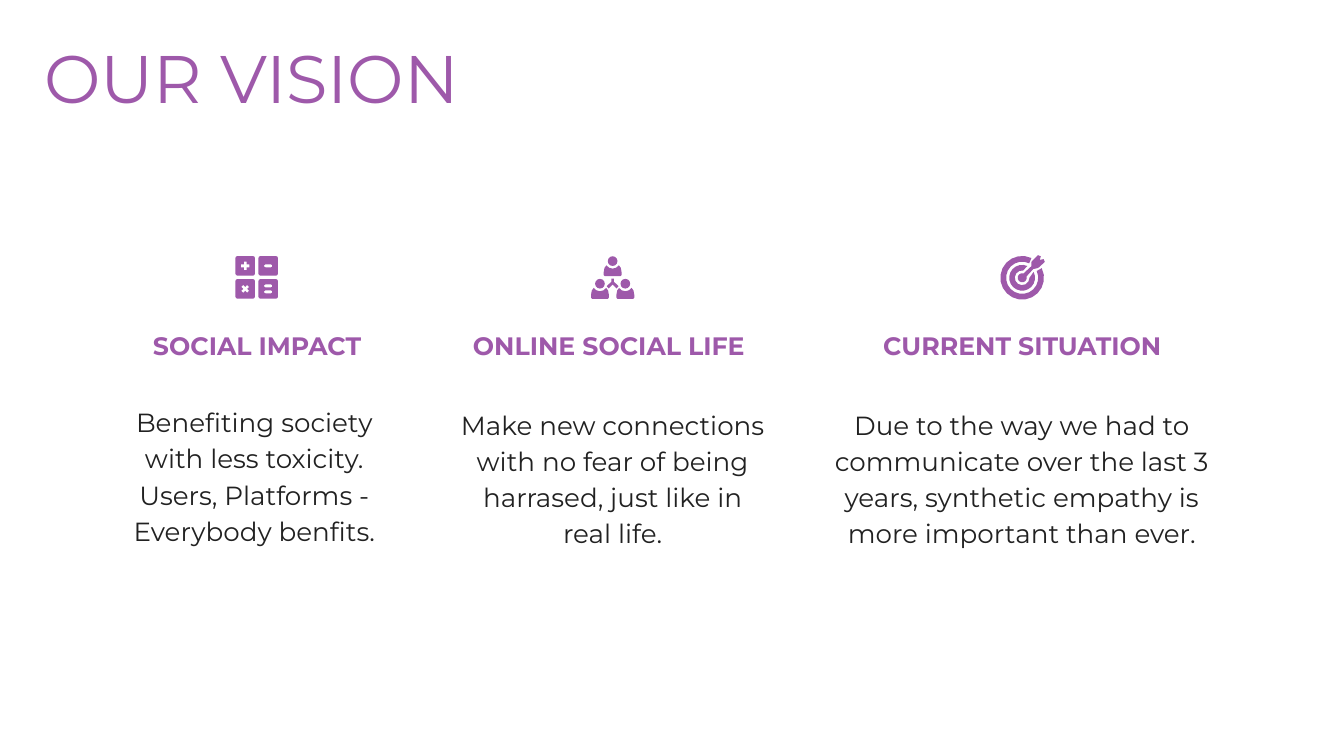
from math import cos, sin, radians

from pptx import Presentation
from pptx import util as u
from pptx.dml.color import RGBColor
from pptx.enum import shapes, text

PURPLE, INK = "9E59AA", "212121"
FONT = "Montserrat"
TITLE = "OUR VISION"

# heading, (left, width), body, (left, top, width), icon centre; all in cm
COLUMNS = [
    ("SOCIAL IMPACT", (3.43, 6.1),
     "Benefiting society with less toxicity. Users, Platforms - Everybody benfits.",
     (2.79, 9.8, 7.24), (6.47, 6.99)),
    ("ONLINE SOCIAL LIFE", (11.33, 8.03),
     "Make new connections with no fear of being harrased, just like in real life.",
     (11.2, 9.86, 8.48), (15.44, 6.99)),
    ("CURRENT SITUATION", (21.06, 9.4),
     "Due to the way we had to communicate over the last 3 years, synthetic empathy "
     "is more important than ever.",
     (20.57, 9.86, 10.36), (25.76, 7.0)),
]

# Icon geometry in mm, measured from the icon centre
TILE, TILE_STEP = 4.9, 2.9
HEADS = [(0, -4.1), (-3.2, 1.6), (3.2, 1.6)]
HEAD_R, COLLAR_R = 1.22, 1.9
SHOULDER = [(1.57, 1.06), (2.05, 1.7), (2.25, 2.8), (2.25, 3.5), (2, 3.8)]
LINK = [(0.3, 0.3), (0.3, 1.1), (1.5, 2.2), (1, 2.8)]
DART = [(2.8, -2.2), (3.8, -2.4), (4.2, -2.6), (5.7, -4), (5.4, -4.7), (4.4, -4.5),
        (4.7, -5.4), (4, -5.7), (2.5, -4.2), (2.3, -3.9), (2.3, -2.9)]


def rgb(value):
    return RGBColor.from_string(value)


def add_text(slide, words, left, top, width, height, size=18, color=PURPLE,
             bold=False, align=text.PP_ALIGN.CENTER, spacing=1.15):
    tf = slide.shapes.add_textbox(*map(u.Cm, (left, top, width, height))).text_frame
    tf.word_wrap = True
    tf.margin_left = tf.margin_right = tf.margin_top = tf.margin_bottom = u.Cm(0.33)
    p = tf.paragraphs[0]
    p.alignment, p.line_spacing = align, spacing
    r = p.add_run()
    r.text = words
    r.font.name, r.font.size, r.font.bold = FONT, u.Pt(size), bold
    r.font.color.rgb = rgb(color)


def paint(s):
    s.fill.solid()
    s.fill.fore_color.rgb = rgb(PURPLE)
    s.line.fill.background()
    s.shadow.inherit = False


def outline(slide, center, *contours):
    """Draw one filled shape; contours inside another one become holes."""
    def place(point):
        return tuple(u.Cm(c + v / 10) for c, v in zip(center, point))

    builder = slide.shapes.build_freeform(*place(contours[0][0]))
    for i, contour in enumerate(contours):
        if i:
            builder.move_to(*place(contour[0]))
        builder.add_line_segments([place(pt) for pt in contour[1:]], close=True)
    paint(builder.convert_to_shape())


def arc(radius, start, end, cx=0, cy=0):
    """Points along an arc, in degrees, clockwise from the right."""
    step = 60 if radius < 1 else 30 if radius < 2 else 18
    count = max(2, round(abs(end - start) / step))
    angles = [radians(start + (end - start) * i / count) for i in range(count + 1)]
    return [(cx + radius * cos(a), cy + radius * sin(a)) for a in angles]


def capsule(cx, cy, radius=0.4, reach=0.65):
    return (arc(radius, -90, 90, cx + reach, cy)
            + arc(radius, 90, 270, cx - reach, cy))


def rounded_square(cx, cy, side=TILE, r=0.45):
    d = side / 2 - r
    corners = [(d, -d, -90), (d, d, 0), (-d, d, 90), (-d, -d, 180)]
    return [pt for x, y, a in corners for pt in arc(r, a, a + 90, cx + x, cy + y)]


def cross(cx, cy, turn, arm=1.05, half=0.36):
    """A plus sign turned by the given degrees."""
    points = []
    for a in range(0, 360, 90):
        c, s = cos(radians(a + turn)), sin(radians(a + turn))
        points += [(cx + x * c - y * s, cy + x * s + y * c)
                   for x, y in [(arm, -half), (arm, half), (half, half)]]
    return points


def mirrored(points):
    return [(-x, y) for x, y in reversed(points)]


def calculator(slide, center):
    d = TILE_STEP
    tiles = [
        (-d, -d, [cross(-d, -d, 0)]),
        (-d, d, [cross(-d, d, 45)]),
        (d, -d, [capsule(d, -d)]),
        (d, d, [capsule(d, d - 0.75), capsule(d, d + 0.75)]),
    ]
    for x, y, signs in tiles:
        outline(slide, center, rounded_square(x, y, TILE), *signs)


def network(slide, center):
    bust = SHOULDER + mirrored(SHOULDER) + arc(COLLAR_R, 146, 34)[1:-1]
    for x, y in HEADS:
        left, top = center[0] + (x - HEAD_R) / 10, center[1] + (y - HEAD_R) / 10
        paint(slide.shapes.add_shape(
            shapes.MSO_SHAPE.OVAL, u.Cm(left), u.Cm(top),
            u.Cm(HEAD_R / 5), u.Cm(HEAD_R / 5)))
        outline(slide, center, [(x + px, y + py) for px, py in bust])
    outline(slide, center, LINK + [(0, 1.8)] + mirrored(LINK))


def target(slide, center):
    outline(slide, center, arc(1.15, -18, 288) + DART[::-1])
    outline(slide, center, arc(3.25, -27, 294) + arc(1.85, 278, 0))
    outline(slide, center, arc(5.5, -26, 295) + arc(4.05, 296, -25))


def main():
    prs = Presentation()
    prs.slide_width, prs.slide_height = u.Cm(33.87), u.Cm(19.05)
    slide = prs.slides.add_slide(prs.slide_layouts[6])

    add_text(slide, TITLE, 0.79, 0.58, 19.81, 2.13, size=48,
             align=text.PP_ALIGN.LEFT, spacing=1)
    icons = [calculator, network, target]
    for draw_icon, column in zip(icons, COLUMNS):
        heading, (left, width), body, (body_left, body_top, body_width), center = column
        add_text(slide, heading, left, 7.87, width, 1.57, bold=True)
        add_text(slide, body, body_left, body_top, body_width, 2.24,
                 size=18.7, color=INK)
        draw_icon(slide, center)
    prs.save("out.pptx")


if __name__ == "__main__":
    main()
